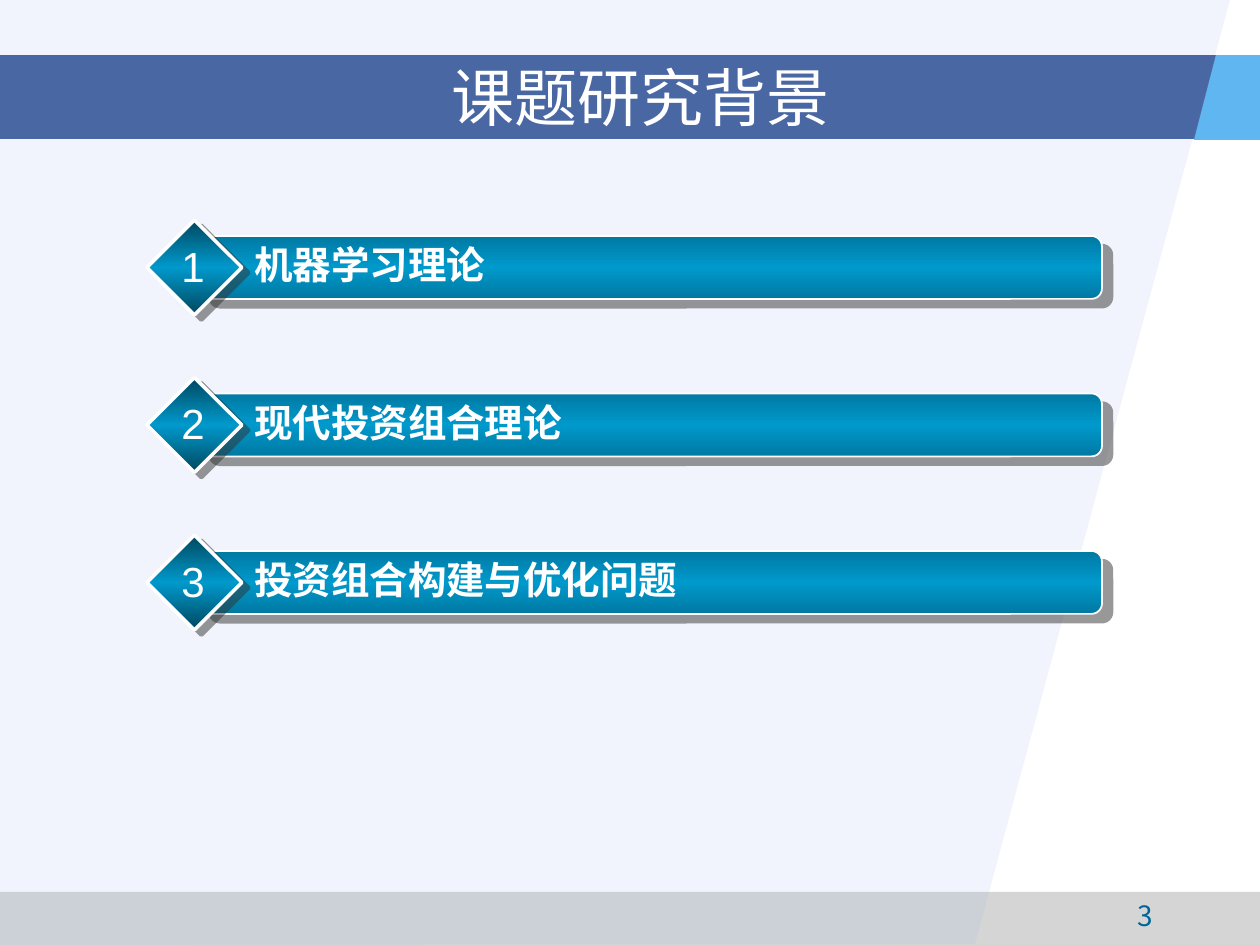
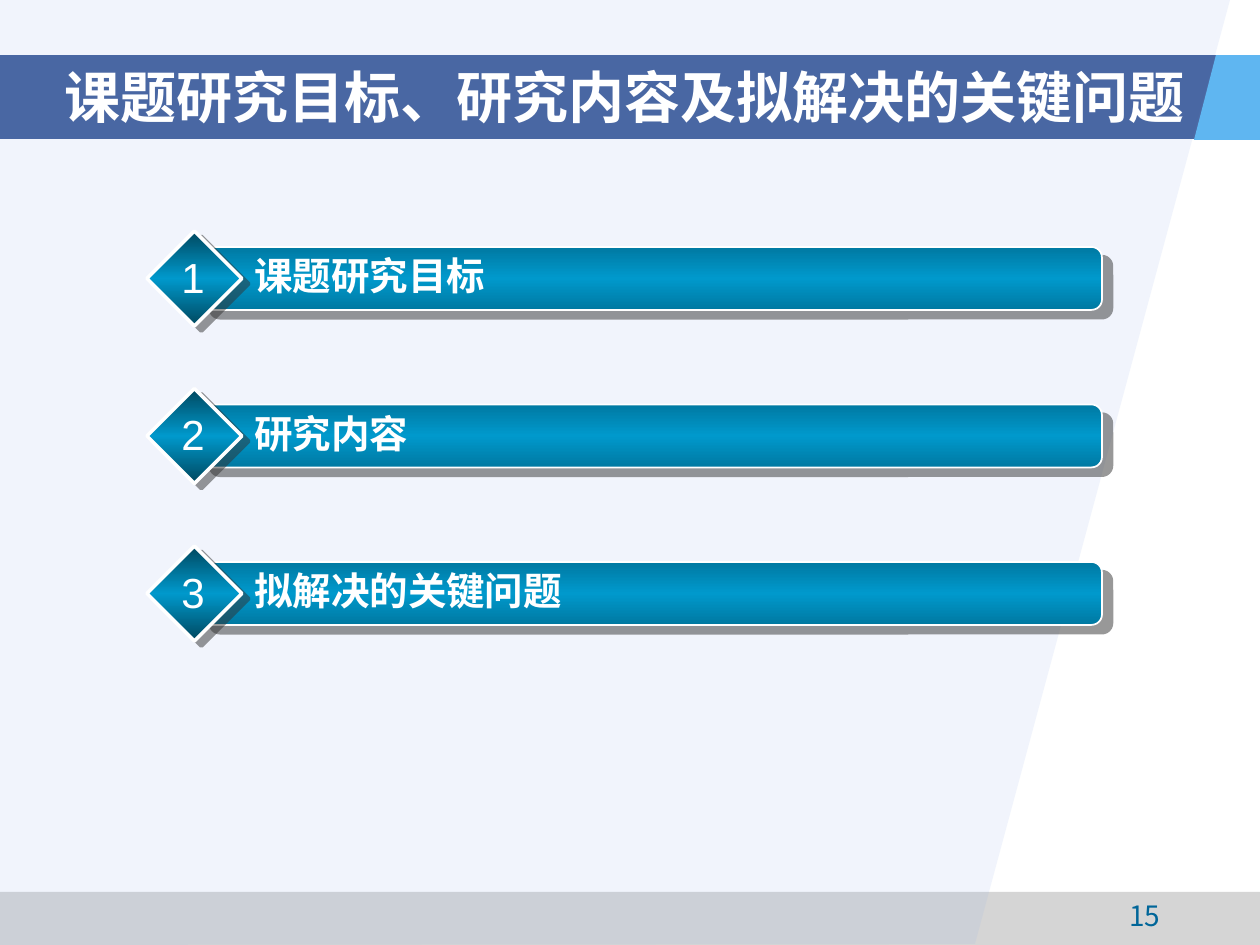
"""Build two agenda slides with numbered bars on a shared banded design."""
from copy import deepcopy

from lxml import etree
from pptx import Presentation
from pptx.dml.color import RGBColor
from pptx.enum.shapes import MSO_SHAPE
from pptx.enum.text import MSO_ANCHOR, MSO_AUTO_SIZE, PP_ALIGN
from pptx.oxml.ns import qn
from pptx.util import Emu, Pt

RECT, ROUND, DIAMOND = MSO_SHAPE.RECTANGLE, MSO_SHAPE.ROUNDED_RECTANGLE, MSO_SHAPE.DIAMOND
LEFT, CENTER = PP_ALIGN.LEFT, PP_ALIGN.CENTER
MIDDLE = MSO_ANCHOR.MIDDLE
FIXED, GROW = MSO_AUTO_SIZE.NONE, MSO_AUTO_SIZE.SHAPE_TO_FIT_TEXT

SCALE = 914400 / 126
WIDE, HIGH = 1260, 945
PITCH = 157.5
SANS, SERIF, LATIN = "Noto Sans CJK SC", "Times New Roman", "Arial"
COLORS = {
    "white": "FFFFFF", "gray": "969696", "pale": "94B1EC", "navy": "173D89",
    "sky": "5FB6F1", "page": "006699", "edge": "0079A2", "mid": "0099CC",
    "deep": "00475E", "shade": "333333",
}


def px(*nums):
    """Turn pixel lengths into EMU."""
    return [Emu(round(num * SCALE)) for num in nums]


def rgb(name):
    """Look up a named colour."""
    return RGBColor.from_string(COLORS[name])


def paint(shape, color, alpha=100):
    """Give a shape a flat fill, no line and no shadow."""
    shape.shadow.inherit = False
    shape.line.fill.background()
    shape.fill.solid()
    shape.fill.fore_color.rgb = rgb(color)
    if alpha < 100:
        tint = next(shape.fill._xPr.iter(qn("a:srgbClr")))
        etree.SubElement(tint, qn("a:alpha"), val=str(alpha * 1000))


def band(slide, box, color, alpha):
    """Draw a flat band."""
    paint(slide.shapes.add_shape(RECT, *px(*box)), color, alpha)


def outline(slide, points, color, alpha=100):
    """Draw a flat polygon."""
    pen = slide.shapes.build_freeform(*points[0], scale=SCALE)
    pen.add_line_segments(points[1:], close=True)
    paint(pen.convert_to_shape(), color, alpha)


def write(shape, text, size, font, color="white", bold=False, align=LEFT):
    """Put one formatted line of text in a shape."""
    para = shape.text_frame.paragraphs[0]
    para.text = text
    para.alignment = align
    run = para.runs[0]
    run.font.size = Pt(size)
    run.font.bold = bold
    run.font.color.rgb = rgb(color)
    run.font.name = font
    etree.SubElement(run._r.get_or_add_rPr(), qn("a:ea"), typeface=SANS)


def label(shapes, box, text, size, font, wrap=True, fit=GROW, **style):
    """Add a text box with one line."""
    shape = shapes.add_textbox(*px(*box))
    shape.text_frame.word_wrap = wrap
    shape.text_frame.auto_size = fit
    write(shape, text, size, font, **style)


def gloss(shapes, kind, box, edge, width, dist, angle):
    """Add a shape with a mirrored gradient, white line and hard shadow."""
    shape = shapes.add_shape(kind, *px(*box))
    shape.line.color.rgb = rgb("white")
    shape.line.width = Pt(width)
    shape.fill.gradient()
    shape.fill.gradient_angle = 90
    props = shape._element.spPr
    stops = next(props.iter(qn("a:gsLst")))
    stops.insert(1, deepcopy(stops[0]))
    for stop, spot, name in zip(shape.fill.gradient_stops, (0, 0.5, 1), (edge, "mid", edge)):
        stop.position = spot
        stop.color.rgb = rgb(name)
    shape.shadow.inherit = False
    cast = etree.SubElement(
        props.find(qn("a:effectLst")), qn("a:outerShdw"), blurRad="0",
        dist=str(Pt(dist)), dir=str(angle * 60000), algn="ctr", rotWithShape="0")
    tint = etree.SubElement(cast, qn("a:srgbClr"), val=COLORS["shade"])
    etree.SubElement(tint, qn("a:alpha"), val="50000")
    return shape


def item(slide, top, num, text, width, font):
    """Draw a numbered diamond with its bar and label."""
    shapes = slide.shapes.add_group_shape().shapes
    bar = gloss(shapes, ROUND, (199, top + 16, 903, 63), "edge", 1, 7.8, 40)
    bar.adjustments[0] = 0.167
    gloss(shapes, DIAMOND, (147, top, 95, 95), "deep", 2, 5, 37)
    label(shapes, (242, top + 15, width, 59), text, 22, font, bold=True)
    label(shapes, (169, top + 14, 48, 63), str(num), 24, LATIN, wrap=False, align=CENTER)


def frame(slide, page):
    """Draw the shared bands and the page number."""
    band(slide, (0, 892, WIDE, 53), "gray", 40)
    outline(slide, [(0, 0), (1230, 0), (975, 944), (0, HIGH)], "pale", 13)
    band(slide, (0, 55, WIDE, 84), "navy", 77)
    outline(slide, [(1216, 55), (1194, 140), (WIDE, 140), (WIDE, 55)], "sky")
    label(slide.shapes, (1061, 892, 168, 32), str(page), 16, SANS,
          fit=FIXED, color="page", align=CENTER)


def head(slide, text, left, width, size, bold):
    """Place the title on the band, above the shared shapes."""
    title = slide.shapes.title
    slide.shapes._spTree.append(title._element)
    title.left, title.top, title.width, title.height = px(left, 57, width, 78)
    title.text_frame.word_wrap = True
    title.text_frame.auto_size = FIXED
    title.text_frame.vertical_anchor = MIDDLE
    write(title, text, size, SERIF, bold=bold, align=CENTER)


def agenda(deck, page, title, top, font, items):
    """Add a slide with a title and evenly spaced numbered items."""
    slide = deck.slides.add_slide(deck.slide_layouts[5])
    frame(slide, page)
    head(slide, *title)
    for i, (text, width) in enumerate(items):
        item(slide, top + i * PITCH, i + 1, text, width, font)


def main():
    """Build and save the deck."""
    deck = Presentation()
    deck.slide_width, deck.slide_height = px(WIDE, HIGH)
    agenda(deck, 3, ("课题研究背景", 73, 1134, 36, False), 220, SANS,
           [("机器学习理论", 840), ("现代投资组合理论", 662), ("投资组合构建与优化问题", 662)])
    agenda(deck, 15, ("课题研究目标、研究内容及拟解决的关键问题", 42, 1166, 32, True), 231, LATIN,
           [("课题研究目标", 840), ("研究内容", 840), ("拟解决的关键问题", 840)])
    deck.save("out.pptx")


if __name__ == "__main__":
    main()
